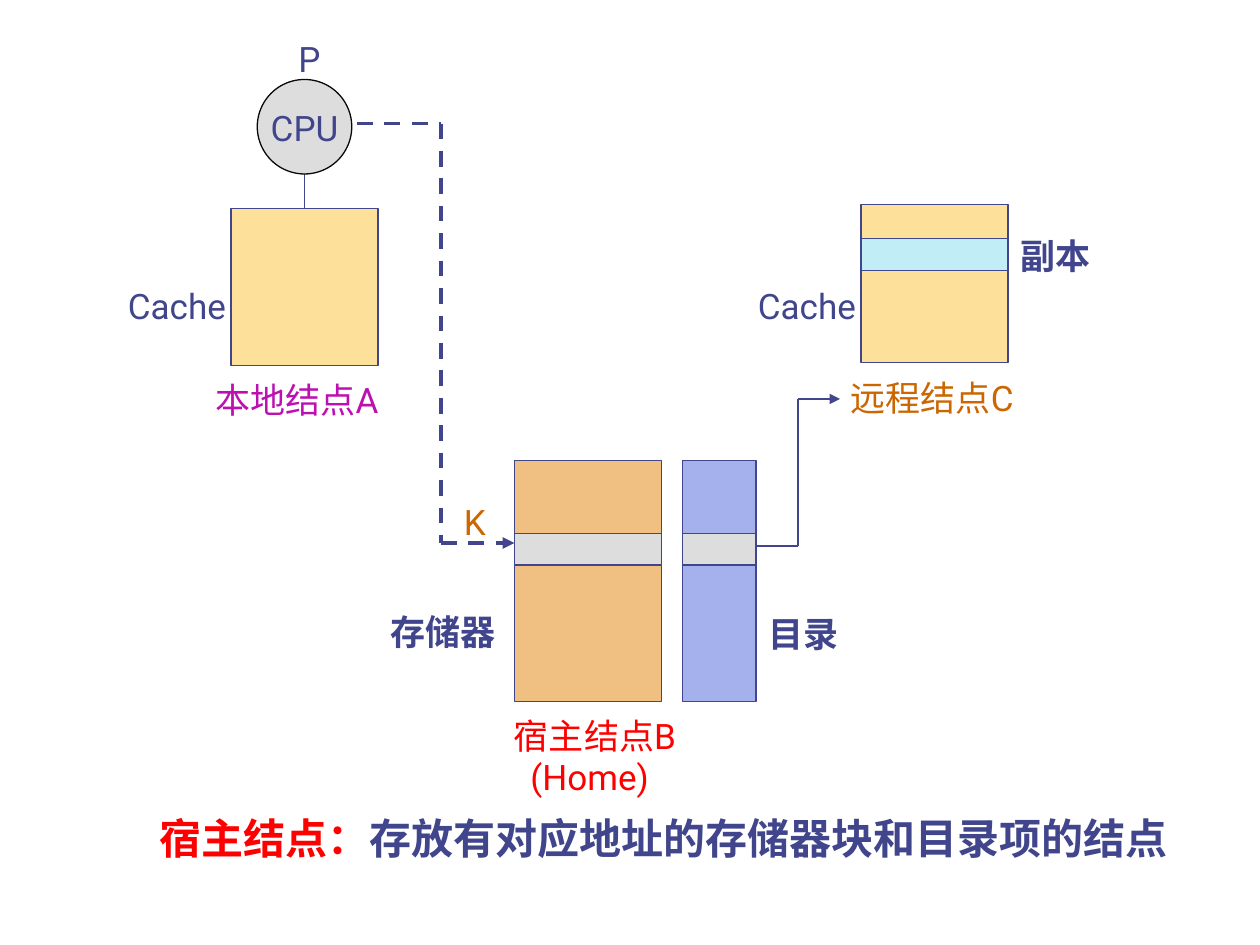
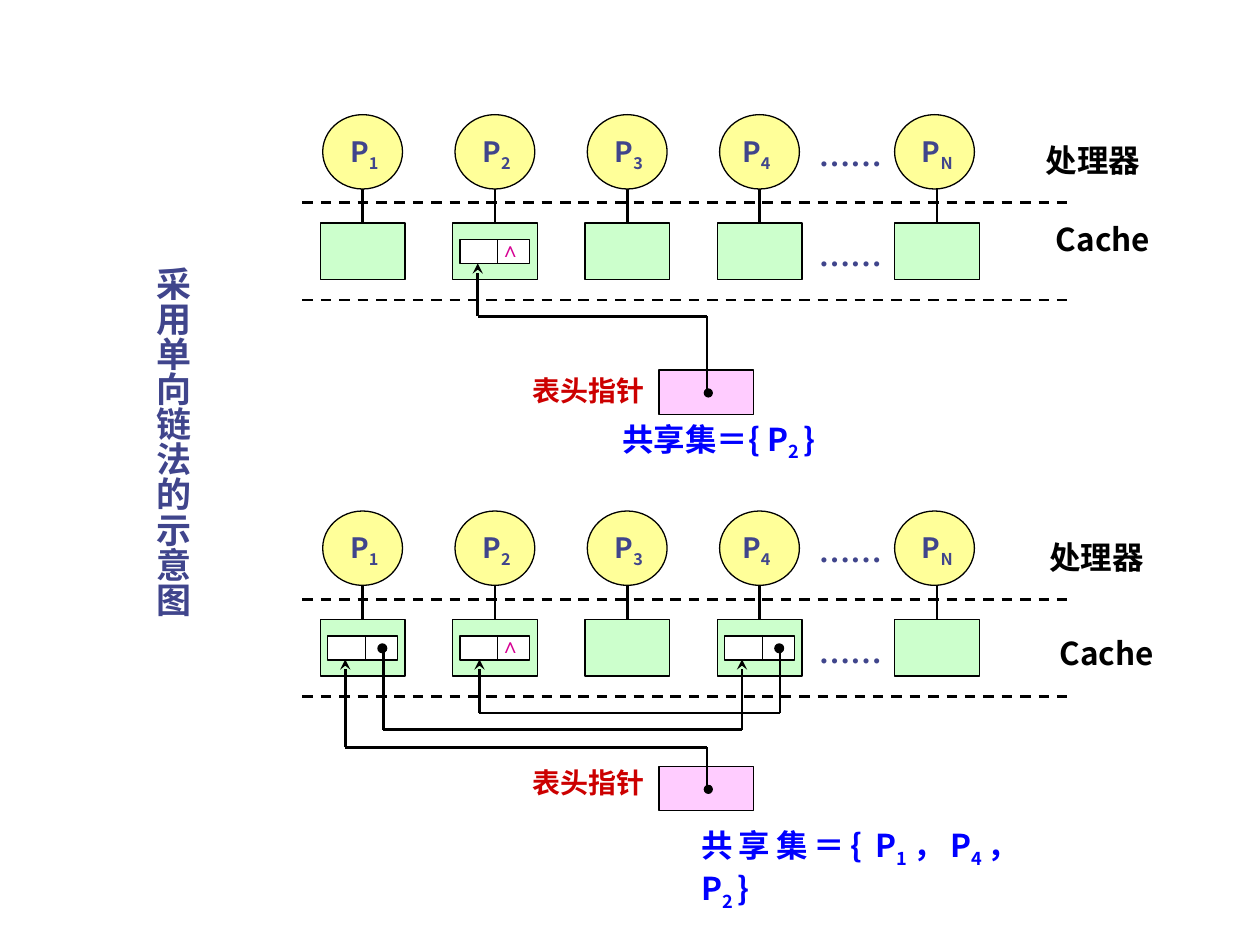
from lxml.etree import SubElement
from pptx import Presentation
from pptx.dml.color import RGBColor
from pptx.enum.dml import MSO_LINE
from pptx.enum.shapes import MSO_CONNECTOR, MSO_SHAPE
from pptx.enum.text import PP_ALIGN
from pptx.oxml.ns import qn
from pptx.util import Pt

COLOURS = {
    "navy": "40458C", "black": "000000", "ink": "080808", "white": "FFFFFF",
    "grey": "DDDDDD", "cream": "FDE19B", "tan": "EFC081", "cyan": "C0EDF6",
    "periwinkle": "A5B1ED", "magenta": "BC10B0", "orange": "CC6600",
    "red": "FF0000", "crimson": "CC0000", "pink": "D60093", "blue": "0000FF",
    "yellow": "FFFF99", "mint": "CCFFCC", "rose": "FFCCFF",
}
CJK = "Noto Sans CJK SC"
SERIF = "Times New Roman"
ROW_SHIFT = 226.5
COLUMN_STEP = 75.6
CACHE_LEFT = 183


class Sketch:
    """Hold the drawing style and the current slide."""

    def __init__(self):
        self.deck = Presentation()
        self.deck.slide_width, self.deck.slide_height = Pt(720), Pt(540)
        self.page = None

    def new_page(self):
        self.page = self.deck.slides.add_slide(self.deck.slide_layouts[6])

    def colour(self, name):
        return RGBColor.from_string(COLOURS[name])

    def shape(self, place, fill, line="black", kind=MSO_SHAPE.RECTANGLE):
        shape = self.page.shapes.add_shape(kind, *map(Pt, place))
        shape.shadow.inherit = False
        shape.fill.solid()
        shape.fill.fore_color.rgb = self.colour(fill)
        shape.line.color.rgb = self.colour(line)
        shape.line.width = Pt(0.75)

    def oval(self, place, fill, line="black"):
        self.shape(place, fill, line, MSO_SHAPE.OVAL)

    def route(self, points, colour="black", width=1.5, dash=None, arrow=None):
        for start, end in zip(points, points[1:]):
            connector = self.page.shapes.add_connector(
                MSO_CONNECTOR.STRAIGHT, *map(Pt, start + end))
            connector.line.color.rgb = self.colour(colour)
            connector.line.width = Pt(width)
            connector.line.dash_style = dash
            properties = connector._element.spPr
            if arrow and end == points[-1]:
                SubElement(properties.find(qn("a:ln")), qn("a:tailEnd"), type=arrow)
            SubElement(properties, qn("a:effectLst"))

    def text(self, place, spans, colour="navy", font=CJK, size=18, bold=True,
             align=PP_ALIGN.JUSTIFY, spacing=None, vertical=False):
        box = self.page.shapes.add_textbox(*map(Pt, place))
        frame = box.text_frame
        frame.word_wrap = True
        if vertical:
            frame._txBody.bodyPr.set("vert", "eaVert")
        para = frame.paragraphs[0]
        para.alignment, para.line_spacing = align, spacing
        for words, changes in [(spans, {})] if isinstance(spans, str) else spans:
            span = para.add_run()
            span.text = words
            formats = {"name": changes.get("font", font), "size": Pt(size), "bold": bold}
            for key, value in formats.items():
                setattr(span.font, key, value)
            span.font.color.rgb = self.colour(changes.get("colour", colour))
            properties = span._r.get_or_add_rPr()
            SubElement(properties, qn("a:ea"), typeface=CJK)
            if changes.get("subscript"):
                properties.set("baseline", "-25000")

    def label(self, place, spans, colour="navy", bold=False, size=20, **style):
        self.text(place, spans, colour, "Roboto", size, bold, PP_ALIGN.LEFT, **style)

    def subscripted(self, place, parts, **style):
        spans = [(words, {"subscript": index % 2 == 1})
                 for index, words in enumerate(parts)]
        self.text(place, spans, **style)

    def block(self, column, top, last=False):
        left = CACHE_LEFT + column * COLUMN_STEP + 4.2
        self.shape((left, top, 40, 13.7), "white")
        self.route([(left + 21.6, top), (left + 21.6, top + 13.7)], width=0.75)
        if last:
            self.text((left + 15.8, top - 5.5, 34, 23), "∧", "pink", SERIF, 12)
        elif top > ROW_SHIFT:
            self.oval((left + 28.8, top + 4.5, 5, 5), "black")

    def processor_row(self, shift):
        columns = [(name, CACHE_LEFT + index * COLUMN_STEP, 1.4, inset)
                   for index, (name, inset) in enumerate(
                       zip("1234", (8.6, 8.6, 8.6, 5.8)))]
        columns.append(("N", 511.2, 0, 8.6))
        for name, left, offset, inset in columns:
            processor = left + offset
            self.oval((processor, shift + 65.5, 45.6, 42.5), "yellow")
            self.subscripted((processor + inset, shift + 73.4, 36, 25),
                             ["P", name], size=16)
            self.shape((left, shift + 127.4, 48.5, 32.4), "mint")
            self.route([(left + 24.3, shift + 108), (left + 24.3, shift + 127.4)])
        for top in (73.4, 131):
            self.text((460.8, shift + top, 52.6, 29), "……", font=SERIF)
        for level in (115.9, 171.4):
            self.route([(172.8, shift + level), (609.8, shift + level)],
                       dash=MSO_LINE.DASH)
        self.shape((376.6, shift + 211.5, 54, 25.2), "rose")
        self.oval((402.5, shift + 222.3, 4.5, 4.5), "black")


def draw_home_node(sketch):
    """Draw the local, home and remote nodes."""
    sketch.new_page()
    sketch.route([(174.2, 95), (174.2, 119)], "navy", 0.75)
    sketch.oval((147, 45.4, 54, 54), "grey", "ink")
    for place, fill in [
        ((132, 119, 84, 90), "cream"), ((492, 117, 84, 90), "cream"),
        ((492, 136.5, 84, 18), "cyan"),
        ((294, 263, 84, 138), "tan"), ((390, 263, 42, 138), "periwinkle"),
        ((294, 304.8, 84, 18), "grey"), ((390, 304.8, 42, 18), "grey"),
    ]:
        sketch.shape(place, fill, "navy")
    for place, words, colour in [
        ((147.6, 57.6, 60, 31), "CPU", "navy"),
        ((163.5, 18, 36, 31), "P", "navy"),
        ((66, 159, 84, 31), "Cache", "navy"),
        ((426, 159, 84, 31), "Cache", "navy"),
        ((116, 213, 121, 31), "本地结点A", "magenta"),
        ((479, 211.7, 112, 31), "远程结点C", "orange"),
        ((258, 282.2, 30, 31), "K", "orange"),
    ]:
        sketch.label(place, words, colour)
    for place, words in [((286.6, 407.5, 114, 29), "宿主结点B"),
                         ((296, 430.6, 102, 29), "(Home)")]:
        sketch.label(place, words, "red", spacing=0.9)
    for place, words in [((576, 130.3, 72, 31), "副本"),
                         ((432, 346.3, 72, 31), "目录"),
                         ((216, 345.6, 78, 31), "存储器")]:
        sketch.label(place, words, bold=True)
    sketch.route([(204, 70.6), (252, 70.6), (252, 310.3), (294, 310.3)],
                 "navy", 2.25, MSO_LINE.DASH, "triangle")
    sketch.route([(432, 312), (456, 312), (456, 228), (480, 228)],
                 "navy", arrow="triangle")
    sketch.label((84, 466.6, 605, 30), [
        ("宿主结点：", {"colour": "red"}),
        ("存放有对应地址的存储器块和目录项的结点", {"font": CJK}),
    ], bold=True, size=24, spacing=0.8)


def draw_linked_list(sketch):
    """Draw the singly linked directory before and after sharing grows."""
    sketch.new_page()
    sketch.label((76.3, 145.4, 38.2, 244), "采用单向链法的示意图",
                 bold=True, vertical=True)
    for shift in (0, ROW_SHIFT):
        sketch.processor_row(shift)
        sketch.block(1, shift + 137, last=True)
    for column in (0, 3):
        sketch.block(column, ROW_SHIFT + 137)
    for points in [
        [(404, 223), (404, 180.7), (273, 180.7), (273, 150.5)],
        [(404, 449), (404, 427), (197.3, 427), (197.3, 376.8)],
        [(219, 371), (219, 417), (424, 417), (424, 376.8)],
        [(445.7, 373), (445.7, 407.5), (274, 407.5), (274, 376.8)],
    ]:
        sketch.route(points, arrow="stealth")
    for top in (210.2, 434.2):
        sketch.text((297.4, top, 90, 25), "表头指针", "crimson", SERIF, 16)
    for place, parts in [
        ((348.5, 236.2, 144.7, 31.7), ["共享集＝{ P", "2 ", "}"]),
        ((393.8, 468.7, 195.8, 31.7),
         ["共享集＝{ P", "1", "，P", "4", "，P", "2 ", "}"]),
    ]:
        sketch.subscripted(place, parts, colour="blue")
    for place, words, font in [
        ((590.4, 77, 79, 30), "处理器", SERIF),
        ((592.6, 303.8, 79, 30), "处理器", SERIF),
        ((596.2, 122.4, 68.4, 28), "Cache", CJK),
        ((598.3, 358.6, 68.4, 28), "Cache", CJK),
    ]:
        sketch.text(place, words, "black", font)


def main():
    """Build both slides and save them."""
    sketch = Sketch()
    draw_home_node(sketch)
    draw_linked_list(sketch)
    sketch.deck.save("out.pptx")


if __name__ == "__main__":
    main()
